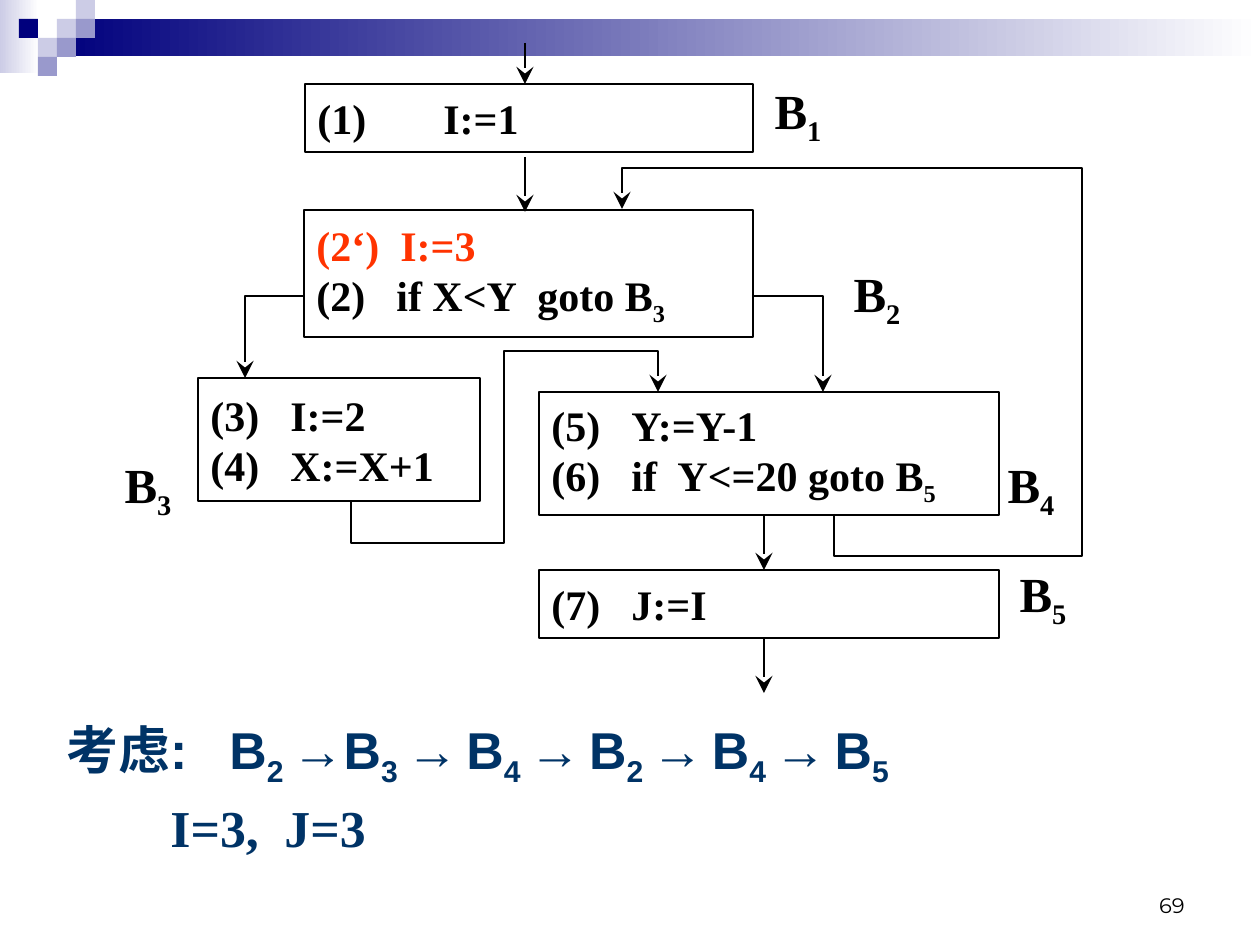
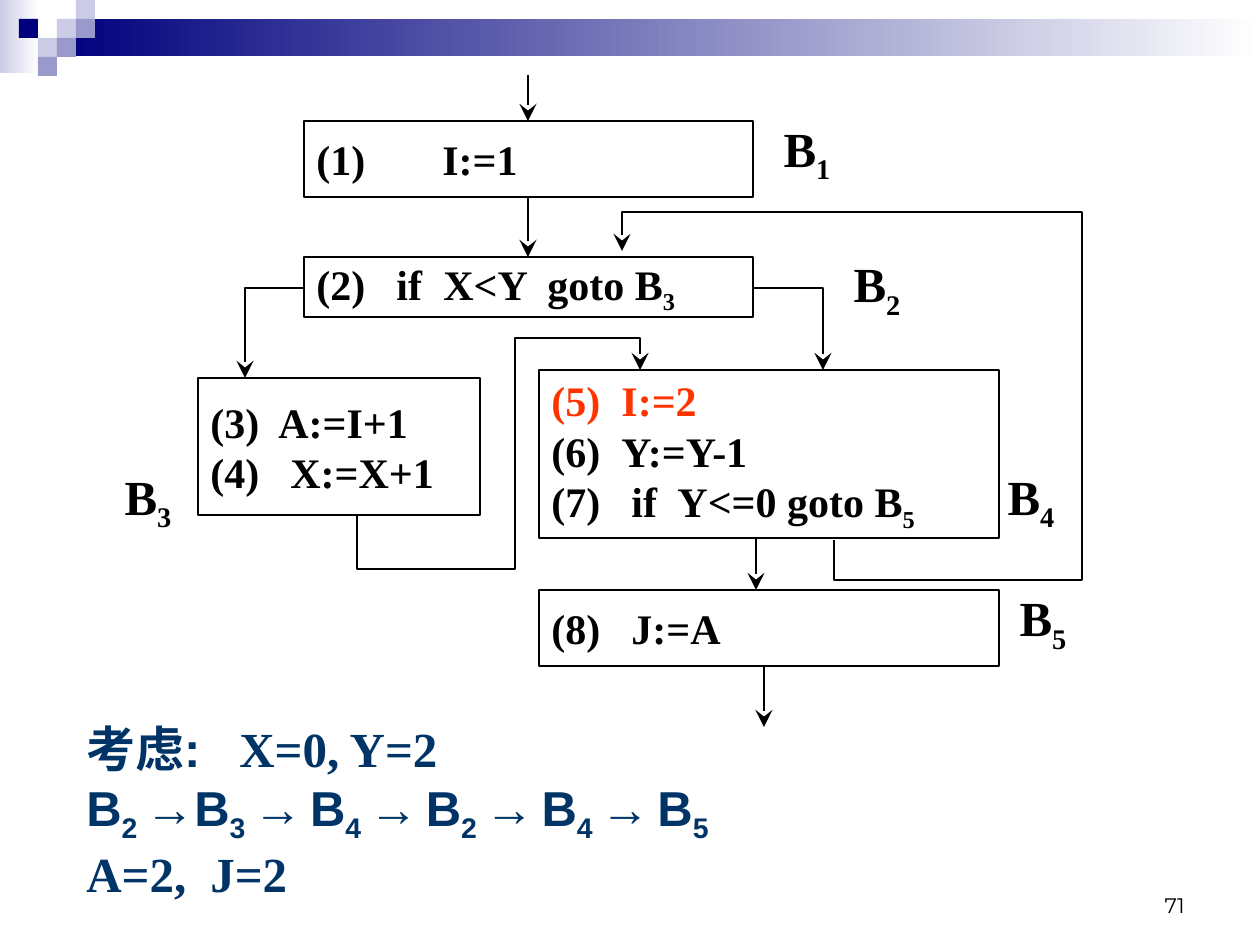
import pptx
import pptx.dml.color
import pptx.enum.shapes
import pptx.enum.text
import pptx.oxml.ns
import pptx.util
from lxml import etree

PX = 914400 / 126
SERIF, SANS, PAGE_FONT = "Times New Roman", "Arial", "Montserrat"
BLACK, RED, TEAL = "000000", "FF3300", "003366"
NAVY, VIOLET, LILAC, WHITE = "00007D", "9999CC", "CCCCE6", "FFFFFF"
CELL = 19
RECT = pptx.enum.shapes.MSO_SHAPE.RECTANGLE
ANCHOR = pptx.enum.text.MSO_ANCHOR
ALIGN = pptx.enum.text.PP_ALIGN
ROUTE = "B[2 ]→B[3 ]→[ ]B[4 ]→[ ]B[2 ]→[ ]B[4 ]→[ ]B[5]"


def px(n):
    return pptx.util.Emu(round(n * PX))


def rgb(value):
    return pptx.dml.color.RGBColor.from_string(value)


def sub(parent, tag, **attrs):
    return etree.SubElement(parent, pptx.oxml.ns.qn(tag), **attrs)


def add_runs(p, text, size, color, font=SERIF, bold=True):
    for i, part in enumerate(text.replace("]", "[").split("[")):
        if not part:
            continue
        r = p.add_run()
        r.text = part
        r.font.size = pptx.util.Pt(size)
        r.font.name = font
        r.font.bold = bold
        r.font.color.rgb = rgb(color)
        if i % 2:
            r.font._element.set("baseline", "-25000")


def set_tabs(p, stops):
    if stops:
        tabs = sub(p._p.get_or_add_pPr(), "a:tabLst")
        for stop in stops:
            sub(tabs, "a:tab", pos=str(px(stop)), algn="l")


def next_paragraph(tf, i):
    return tf.add_paragraph() if i else tf.paragraphs[0]


def add_rect(s, x, y, w, h):
    sp = s.shapes.add_shape(RECT, px(x), px(y), px(w), px(h))
    sp.shadow.inherit = False
    return sp


def add_gradient(s, x, y, w, h, color):
    sp = add_rect(s, x, y, w, h)
    sp.line.fill.background()
    sp.fill.gradient()
    sp.fill.gradient_angle = 0
    for stop, value in zip(sp.fill.gradient_stops, (color, WHITE)):
        stop.color.rgb = rgb(value)


def add_header(s):
    add_gradient(s, 0, 0, 39, 73, LILAC)
    add_gradient(s, 57, 19, 1203, 37, NAVY)
    squares = [(3, 1, LILAC), (4, 0, LILAC), (4, 1, VIOLET), (2, 2, LILAC),
               (1, 1, NAVY), (3, 2, VIOLET), (2, 3, VIOLET)]
    for col, row, color in squares:
        sp = add_rect(s, col * CELL, row * CELL, CELL, CELL)
        sp.fill.solid()
        sp.fill.fore_color.rgb = rgb(color)
        sp.line.fill.background()


def add_block(s, x, y, w, h, lines):
    sp = add_rect(s, x, y, w, h)
    sp.fill.background()
    sp.line.color.rgb = rgb(BLACK)
    sp.line.width = pptx.util.Pt(1)
    tf = sp.text_frame
    tf.word_wrap = True
    tf.vertical_anchor = ANCHOR.MIDDLE
    for i, (text, stops, color) in enumerate(lines):
        p = next_paragraph(tf, i)
        p.alignment = ALIGN.LEFT
        set_tabs(p, stops)
        add_runs(p, text, 24, color)


def add_textbox(s, x, y, w, h, anchor):
    tf = s.shapes.add_textbox(px(x), px(y), px(w), px(h)).text_frame
    tf.word_wrap = True
    tf.vertical_anchor = anchor
    return tf


def add_block_labels(s, places, h):
    for number, (x, y) in enumerate(places, 1):
        tf = add_textbox(s, x, y, 64, h, ANCHOR.MIDDLE)
        tf.margin_left = tf.margin_right = 0
        p = tf.paragraphs[0]
        p.alignment = ALIGN.CENTER
        add_runs(p, f"B[{number}]", 28, BLACK)


def add_arrow(s, *points):
    if len(points) == 2:
        (x1, y1), (x2, y2) = points
        straight = pptx.enum.shapes.MSO_CONNECTOR.STRAIGHT
        sp = s.shapes.add_connector(straight, px(x1), px(y1), px(x2), px(y2))
    else:
        fb = s.shapes.build_freeform(*points[0], scale=PX)
        fb.add_line_segments(points[1:], close=False)
        sp = fb.convert_to_shape()
        sp.fill.background()
    sp.line.color.rgb = rgb(BLACK)
    sp.line.width = pptx.util.Pt(1.25)
    spPr = sp._element.spPr
    ln = spPr.find(pptx.oxml.ns.qn("a:ln"))
    sub(ln, "a:tailEnd", type="stealth", w="lg", len="lg")
    sub(spPr, "a:effectLst")


def add_caption(s, x, y, h, size, lines):
    tf = add_textbox(s, x, y, 1071, h, ANCHOR.TOP)
    for i, (parts, stops, spacing, before) in enumerate(lines):
        p = next_paragraph(tf, i)
        p.line_spacing = spacing
        p.space_before = pptx.util.Pt(before)
        set_tabs(p, stops)
        for text, font in parts:
            add_runs(p, text, size, TEAL, font)


def add_page_number(s, number):
    p = add_textbox(s, 903, 861, 294, 63, ANCHOR.BOTTOM).paragraphs[0]
    p.alignment = ALIGN.RIGHT
    add_runs(p, str(number), 12, BLACK, PAGE_FONT, False)


def add_flow_slide(prs, number, blocks, labels, label_h, arrows, caption):
    s = prs.slides.add_slide(prs.slide_layouts[6])
    add_header(s)
    for block in blocks:
        add_block(s, *block)
    add_block_labels(s, labels, label_h)
    for points in arrows:
        add_arrow(s, *points)
    add_caption(s, *caption)
    add_page_number(s, number)


def main():
    prs = pptx.Presentation()
    prs.slide_width, prs.slide_height = px(1260), px(945)

    add_flow_slide(
        prs, 69,
        blocks=[
            (305, 84, 448, 68, [("(1)\tI:=1", [126], BLACK)]),
            (304, 210, 449, 127, [
                ("(2‘)\tI:=3", [84], RED),
                ("(2)\tif X<Y\tgoto B[3]", [80, 221], BLACK)]),
            (198, 378, 282, 123, [
                ("(3)\tI:=2", [80], BLACK),
                ("(4)\tX:=X+1", [80], BLACK)]),
            (539, 392, 460, 123, [
                ("(5)\tY:=Y-1", [80], BLACK),
                ("(6)\tif\tY<=20 goto B[5]", [80, 126], BLACK)]),
            (539, 570, 460, 68, [("(7)\tJ:=I", [80], BLACK)]),
        ],
        labels=[(766, 73), (845, 256), (116, 447), (999, 447), (1011, 556)],
        label_h=82,
        arrows=[
            [(525, 43), (525, 84)],
            [(525, 157), (525, 212)],
            [(764, 515), (764, 570)],
            [(764, 639), (764, 693)],
            [(304, 296), (245, 296), (245, 378)],
            [(752, 296), (823, 296), (823, 392)],
            [(834, 514), (834, 556), (1082, 556), (1082, 168), (622, 168), (622, 209)],
            [(351, 501), (351, 543), (504, 543), (504, 351), (658, 351), (658, 392)],
        ],
        caption=(54, 712, 168, 29.6, [
            ([("考虑:\t" + ROUTE, SANS)], [163], 1.0, 0),
            ([("\tI=3,\tJ=3", SERIF)], [104, 218], 0.9, 8)]))

    add_flow_slide(
        prs, 71,
        blocks=[
            (304, 121, 449, 76, [("(1)\tI:=1", [126], BLACK)]),
            (304, 257, 449, 60, [
                ("(2)\tif\tX<Y\tgoto B[3]", [80, 127, 231], BLACK)]),
            (198, 378, 282, 137, [
                ("(3)\tA:=I+1", [68], BLACK),
                ("(4)\tX:=X+1", [80], BLACK)]),
            (539, 370, 460, 168, [
                ("(5)\tI:=2", [70], RED),
                ("(6)\tY:=Y-1", [70], BLACK),
                ("(7)\tif\tY<=0 goto B[5]", [80, 126], BLACK)]),
            (539, 590, 460, 76, [("(8)\tJ:=A", [80], BLACK)]),
        ],
        labels=[(775, 106), (845, 242), (116, 454), (999, 454), (1011, 576)],
        label_h=91,
        arrows=[
            [(528, 75), (528, 121)],
            [(528, 197), (528, 257)],
            [(756, 538), (756, 590)],
            [(764, 667), (764, 727)],
            [(304, 288), (245, 288), (245, 378)],
            [(752, 288), (823, 288), (823, 370)],
            [(834, 540), (834, 580), (1082, 580), (1082, 212), (622, 212), (622, 251)],
            [(357, 516), (357, 569), (515, 569), (515, 338), (640, 338), (640, 370)],
        ],
        caption=(74, 719, 199, 28, [
            ([("考虑:\t", SANS), ("X=0, Y=2", SERIF)], [153], 0.9, 0),
            ([(ROUTE, SANS)], [], 0.9, 0),
            ([("A=2,\tJ=2", SERIF)], [124], 0.9, 7)]))

    prs.save("out.pptx")


if __name__ == "__main__":
    main()
